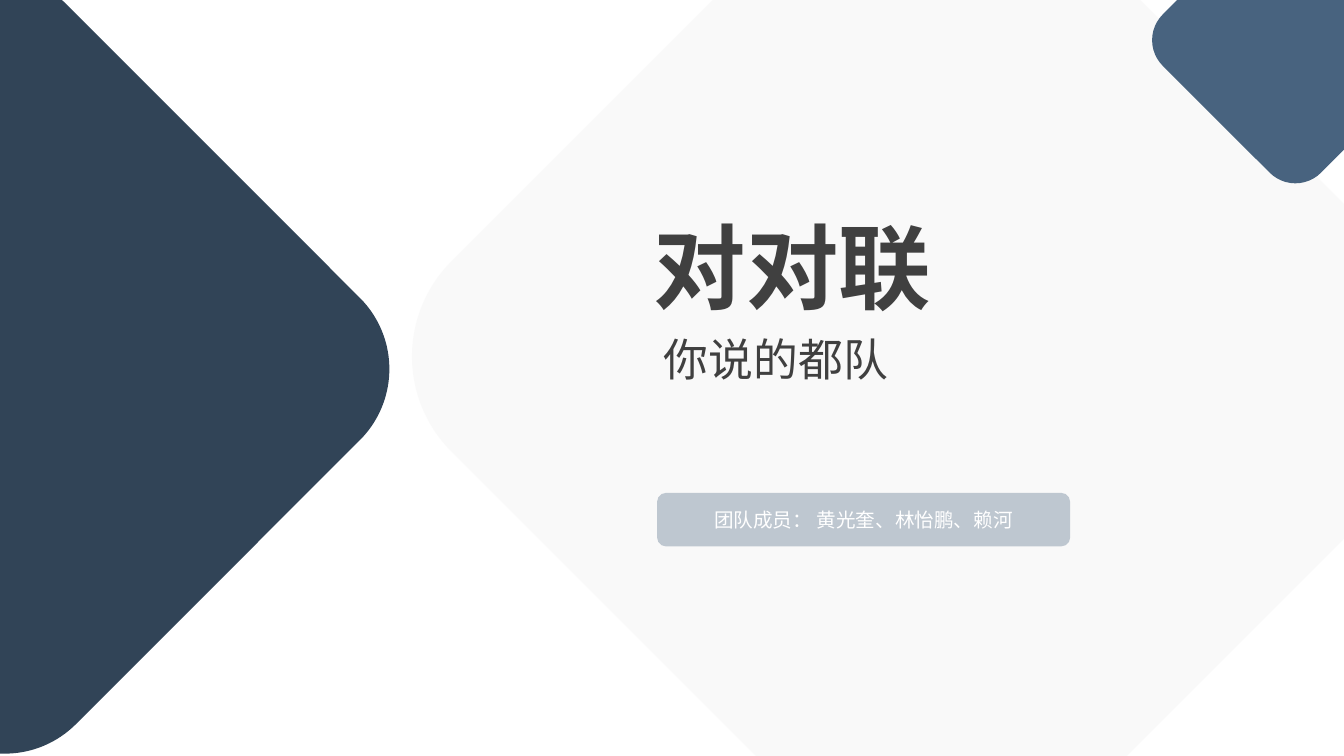
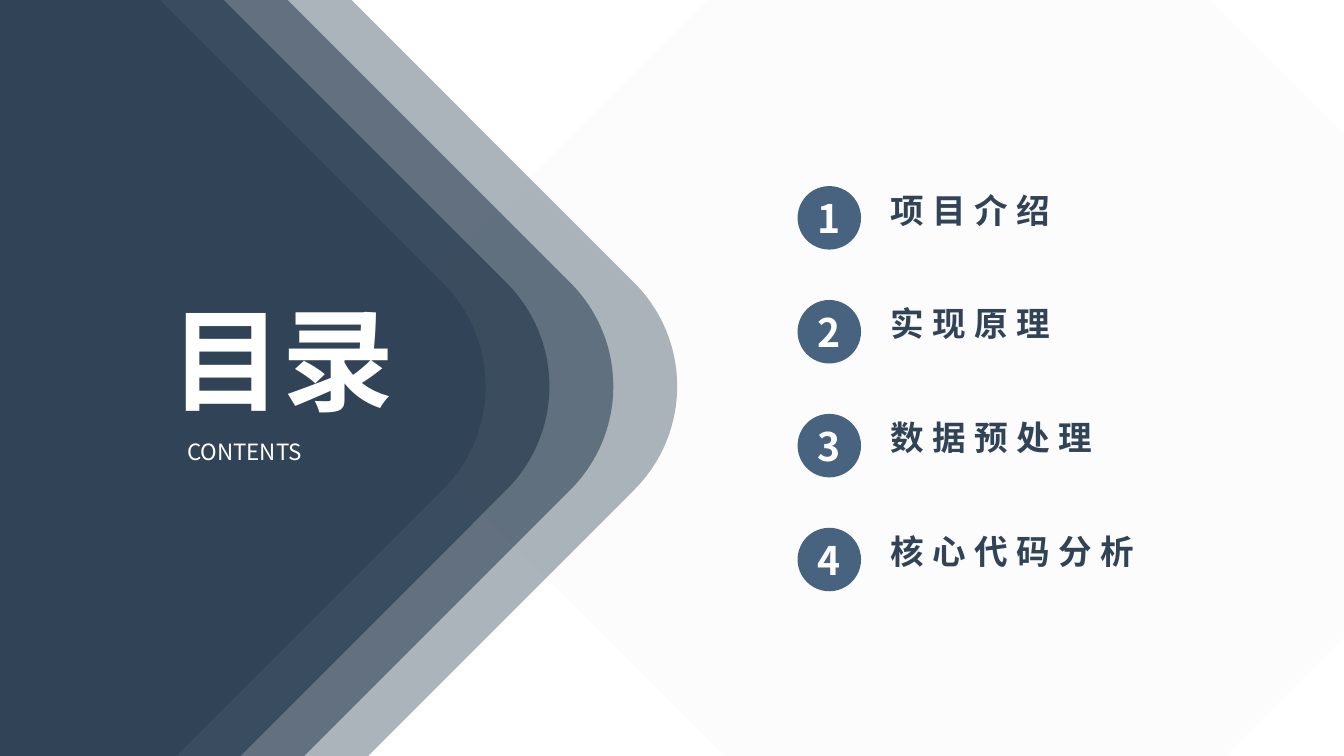
from dataclasses import dataclass
from typing import Optional

from pptx import Presentation
from pptx import util as u
from pptx.dml.color import RGBColor
from pptx.enum import shapes, text
from pptx.oxml.ns import qn
from lxml import etree

NAVY = RGBColor(0x31, 0x44, 0x57)
STEEL = RGBColor(0x48, 0x63, 0x7F)
MIST = RGBColor(0xF2, 0xF2, 0xF2)
INK = RGBColor(0x40, 0x40, 0x40)
WHITE = RGBColor(0xFF, 0xFF, 0xFF)
CJK_FONT = "Noto Sans CJK SC"
LATIN_FONT = "Calibri"


@dataclass(frozen=True)
class Box:
    left: float
    top: float
    width: float
    height: float

    def lengths(self) -> tuple:
        return tuple(u.Cm(v) for v in (self.left, self.top, self.width, self.height))


@dataclass(frozen=True)
class Style:
    size: float
    color: RGBColor
    bold: bool = False
    font: str = CJK_FONT
    align: text.PP_ALIGN = text.PP_ALIGN.LEFT
    spacing: float = 0


@dataclass(frozen=True)
class Diamond:
    box: Box
    color: RGBColor
    opacity: Optional[int] = None


CENTER = text.PP_ALIGN.CENTER
MEMBERS = Style(14, WHITE, align=CENTER)
NUMBER = Style(28, WHITE, bold=True, align=CENTER)
TOPIC = Style(24, NAVY, bold=True, spacing=6)

COVER_DIAMONDS = (
    Diamond(Box(13.11, -0.99, 20.85, 20.32), MIST, 40),
    Diamond(Box(-7.8, 1.57, 15.57, 15.19), NAVY),
)
CORNER_DIAMOND = Diamond(Box(29.77, -1.68, 5.64, 5.49), STEEL)

LAYER_LEFT, LAYER_STEP = -13.41, 1.61
LAYER_OPACITIES = (None, 80, 60, 40)

TOPICS = ("项目介绍", "实现原理", "数据预处理", "核心代码分析")
TOPIC_TOP, TOPIC_STEP = 4.69, 2.87
BADGE_SIZE = 1.6
CHAR_WIDTH, TEXT_MARGINS = 1.06, 0.51


def write(frame, words: str, style: Style) -> None:
    paragraph = frame.paragraphs[0]
    paragraph.text = words
    paragraph.alignment = style.align
    font = paragraph.font
    font.name = style.font
    font.size = u.Pt(style.size)
    font.bold = style.bold
    font.color.rgb = style.color
    defaults = paragraph._p.pPr.find(qn("a:defRPr"))
    etree.SubElement(defaults, qn("a:ea")).set("typeface", CJK_FONT)
    if style.spacing:
        defaults.set("spc", str(int(style.spacing * 100)))


def add_text(slide, box: Box, words: str, style: Style, wrap: bool = True) -> None:
    frame = slide.shapes.add_textbox(*box.lengths()).text_frame
    frame.word_wrap = wrap
    frame.auto_size = text.MSO_AUTO_SIZE.SHAPE_TO_FIT_TEXT
    write(frame, words, style)


def add_solid(slide, kind, box: Box, color: RGBColor, opacity: Optional[int] = None):
    solid = slide.shapes.add_shape(kind, *box.lengths())
    solid.shadow.inherit = False
    solid.line.fill.background()
    solid.fill.solid()
    solid.fill.fore_color.rgb = color
    if opacity is not None:
        tint = solid._element.spPr.find(qn("a:solidFill"))[0]
        etree.SubElement(tint, qn("a:alpha")).set("val", str(opacity * 1000))
    return solid


def add_label(solid, words: str, style: Style) -> None:
    frame = solid.text_frame
    frame.vertical_anchor = text.MSO_ANCHOR.MIDDLE
    frame.margin_left = frame.margin_right = 0
    write(frame, words, style)


def add_diamond(slide, diamond: Diamond) -> None:
    add_solid(slide, shapes.MSO_SHAPE.ROUNDED_RECTANGLE, diamond.box,
              diamond.color, diamond.opacity).rotation = 45


def add_topic(slide, index: int, topic: str) -> None:
    top = TOPIC_TOP + index * TOPIC_STEP
    badge = add_solid(slide, shapes.MSO_SHAPE.OVAL,
                      Box(20.1, top, BADGE_SIZE, BADGE_SIZE), STEEL)
    add_label(badge, str(index + 1), NUMBER)
    width = len(topic) * CHAR_WIDTH + TEXT_MARGINS
    add_text(slide, Box(22.2, top - 0.04, width, 1.28), topic, TOPIC, wrap=False)


def build_cover(slide) -> None:
    for diamond in COVER_DIAMONDS:
        add_diamond(slide, diamond)
    add_text(slide, Box(16.23, 5.16, 13.46, 3.07), "对对联",
             Style(66, INK, bold=True, font=LATIN_FONT))
    add_text(slide, Box(16.48, 8.23, 16.46, 1.63), "你说的都队", Style(32, INK))
    members = add_solid(slide, shapes.MSO_SHAPE.ROUNDED_RECTANGLE,
                        Box(16.56, 12.42, 10.41, 1.35), STEEL, 33)
    add_label(members, "团队成员： 黄光奎、林怡鹏、赖河", MEMBERS)
    add_diamond(slide, CORNER_DIAMOND)


def build_contents(slide) -> None:
    add_diamond(slide, Diamond(Box(13.03, -1.52, 22.68, 22.1), MIST, 20))
    for layer, opacity in reversed(list(enumerate(LAYER_OPACITIES))):
        box = Box(LAYER_LEFT + layer * LAYER_STEP, -1.52, 22.68, 22.1)
        add_diamond(slide, Diamond(box, NAVY, opacity))
    add_text(slide, Box(3.81, 7.19, 6.6, 3.68), "目录",
             Style(80, WHITE, bold=True, align=CENTER))
    add_text(slide, Box(4.47, 10.92, 5.28, 0.94), "CONTENTS", Style(16, WHITE))
    for index, topic in enumerate(TOPICS):
        add_topic(slide, index, topic)


def main() -> None:
    deck = Presentation()
    deck.slide_width, deck.slide_height = u.Cm(33.87), u.Cm(19.05)
    blank = deck.slide_layouts[6]
    for build in (build_cover, build_contents):
        build(deck.slides.add_slide(blank))
    deck.save("out.pptx")


if __name__ == "__main__":
    main()
